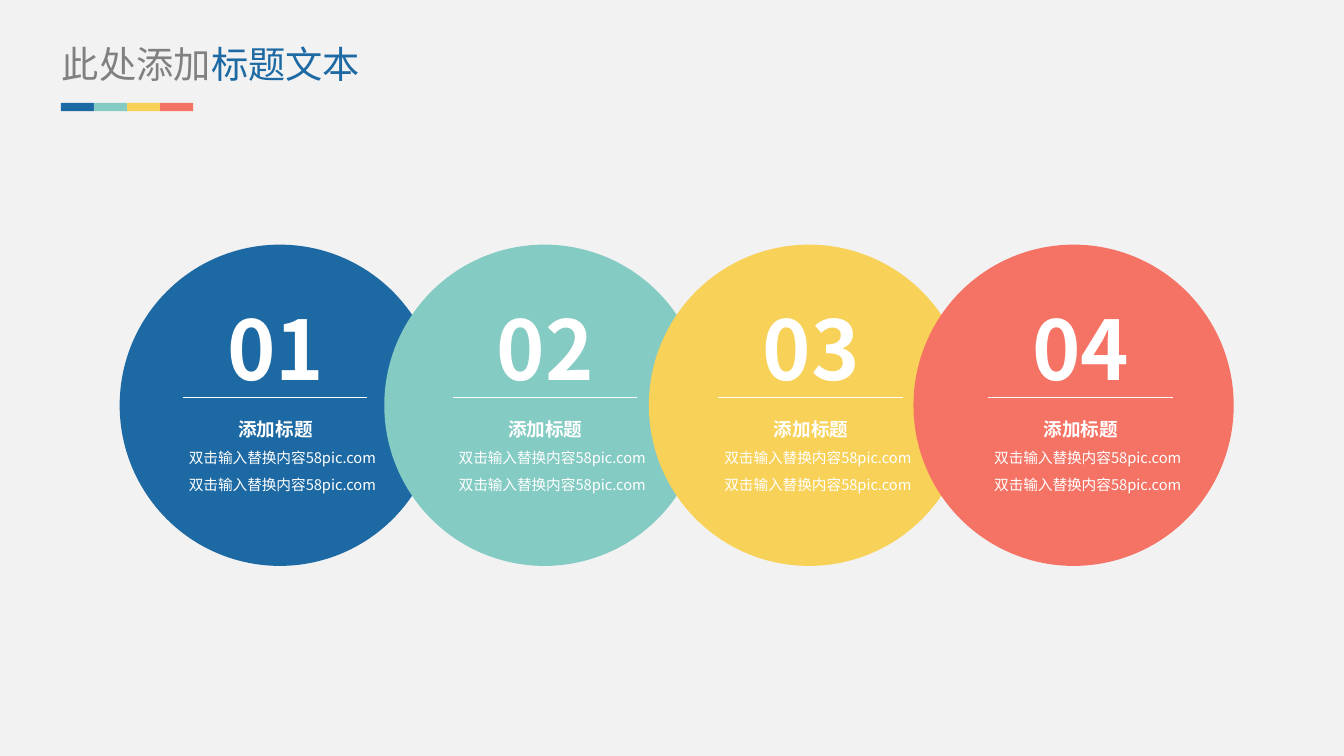
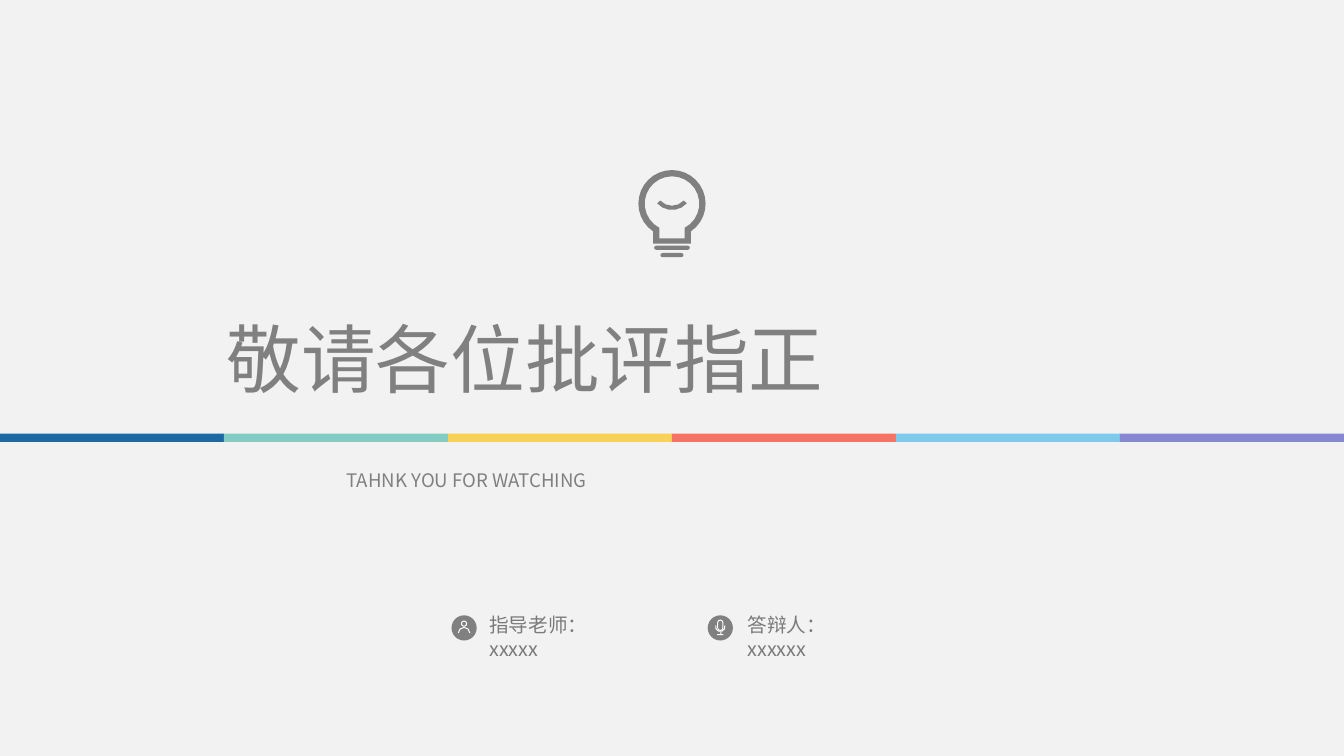
from dataclasses import dataclass
from math import acos, cos, degrees, radians, sin

from lxml.etree import SubElement
from pptx import Presentation
from pptx.dml.color import RGBColor
from pptx.enum.shapes import MSO_CONNECTOR as Connector, MSO_SHAPE as Shape
from pptx.enum.text import MSO_ANCHOR as Anchor, MSO_AUTO_SIZE as AutoSize, PP_ALIGN as Align
from pptx.oxml.ns import qn
from pptx.util import Emu, Pt

Point = tuple[float, float]
Contour = list[Point]


@dataclass(frozen=True)
class Theme:
    font: str = "Noto Sans CJK SC"
    paper: str = "F2F2F2"
    white: str = "FFFFFF"
    gray: str = "808080"
    label_gray: str = "7A7A7A"
    blue: str = "1D69A3"
    palette: tuple[str, ...] = ("1D69A3", "84CBC3", "F8D158", "F57365", "7FC9EC", "8689D0")
    closing_size: float = 53.3
    number_size: float = 58.7
    title_size: float = 26.6
    label_size: float = 14
    heading_size: float = 13.3
    body_size: float = 10.5


@dataclass(frozen=True)
class Span:
    text: str
    color: str


@dataclass(frozen=True)
class Para:
    spans: tuple[Span, ...]
    size: float
    align: Align = Align.LEFT
    spacing: float = 1.0
    bold: bool = False


@dataclass(frozen=True)
class Box:
    left: int
    top: int
    width: int
    height: int


@dataclass(frozen=True)
class Insets:
    left: int = 0
    top: int = 0
    right: int = 0
    bottom: int = 0


@dataclass(frozen=True)
class Step:
    number: str
    color: str
    circle_left: int
    text_left: int


@dataclass(frozen=True)
class Person:
    badge_left: int
    label: Box
    text: str


THEME = Theme()
EMU_PER_PX = 9525
PAGE_WIDTH, PAGE_HEIGHT = 1280, 720
BAND_HEIGHT = 8
FLUSH = Insets()
PADDED = Insets(10, 5, 10, 5)
NARROW = Insets(10, 5, 40, 5)
CIRCLE_LEFT, CIRCLE_STEP = 114, 252
TEXT_LEFTS = (167, 424, 677, 934)
STEPS = [
    Step(f"{index + 1:02}", THEME.palette[index], CIRCLE_LEFT + index * CIRCLE_STEP, left)
    for index, left in enumerate(TEXT_LEFTS)
]
TEACHER = Person(430, Box(456, 579, 161, 33), "指导老师：xxxxx")
SPEAKER = Person(674, Box(702, 579, 153, 33), "答辩人：xxxxxx")


def px(length: float) -> Emu:
    return Emu(round(length * EMU_PER_PX))


def place(box: Box) -> tuple[Emu, Emu, Emu, Emu]:
    return px(box.left), px(box.top), px(box.width), px(box.height)


def paint(shape, color: str) -> None:
    shape.shadow.inherit = False
    shape.fill.solid()
    shape.fill.fore_color.rgb = RGBColor.from_string(color)
    shape.line.fill.background()


def add_filled(page, kind: Shape, box: Box, color: str) -> None:
    paint(page.shapes.add_shape(kind, *place(box)), color)


def add_rule(page, left: int, top: int, width: int) -> None:
    rule = page.shapes.add_connector(Connector.STRAIGHT, px(left), px(top), px(left + width), px(top))
    rule.line.color.rgb = RGBColor.from_string(THEME.white)
    rule.line.width = Pt(0.5)
    SubElement(rule._element.spPr, qn("a:effectLst"))


def add_outline(page, contours: list[Contour], color: str) -> None:
    builder = None
    for contour in contours:
        first, *rest = [(px(x), px(y)) for x, y in contour]
        if builder is None:
            builder = page.shapes.build_freeform(*first, scale=1.0)
        else:
            builder.move_to(*first)
        builder.add_line_segments(rest, close=True)
    paint(builder.convert_to_shape(), color)


def write_text(shape, paras: list[Para], insets: Insets) -> None:
    frame = shape.text_frame
    frame.word_wrap = True
    frame.auto_size = AutoSize.SHAPE_TO_FIT_TEXT
    frame.vertical_anchor = Anchor.TOP
    frame.margin_left, frame.margin_top = px(insets.left), px(insets.top)
    frame.margin_right, frame.margin_bottom = px(insets.right), px(insets.bottom)
    for index, para in enumerate(paras):
        target = frame.add_paragraph() if index else frame.paragraphs[0]
        target.alignment = para.align
        target.line_spacing = para.spacing
        target.font.name = THEME.font
        target.font.size = Pt(para.size)
        target.font.bold = para.bold
        for span in para.spans:
            run = target.add_run()
            run.text = span.text
            run.font.color.rgb = RGBColor.from_string(span.color)
        defaults = target._p.pPr.find(qn("a:defRPr"))
        SubElement(defaults, qn("a:ea"), typeface=THEME.font)


def add_text(page, box: Box, paras: list[Para], insets: Insets) -> None:
    write_text(page.shapes.add_textbox(*place(box)), paras, insets)


def add_band(page, left: int, top: int, width: int, colors: tuple[str, ...]) -> None:
    part = width / len(colors)
    for index, color in enumerate(colors):
        add_filled(page, Shape.RECTANGLE, Box(left + index * part, top, part, BAND_HEIGHT), color)


def add_page(deck):
    page = deck.slides.add_slide(deck.slide_layouts[6])
    page.background.fill.solid()
    page.background.fill.fore_color.rgb = RGBColor.from_string(THEME.paper)
    return page


def add_title(page, lead: str, accent: str) -> None:
    spans = (Span(lead, THEME.gray), Span(accent, THEME.blue))
    add_text(page, Box(59, 39, 389, 43), [Para(spans, THEME.title_size)], FLUSH)
    add_band(page, 58, 98, 126, THEME.palette[:4])


def arc(x: float, y: float, radius: float, start: float, end: float) -> Contour:
    sweep = abs(end - start)
    count = max(round(sweep / 40), round(radius * sweep / 360))
    angles = [radians(start + (end - start) * index / count) for index in range(count + 1)]
    return [(x + radius * cos(angle), y + radius * sin(angle)) for angle in angles]


def crescent(x: float, y: float, outer: float, inner: float, start: float, end: float) -> Contour:
    return arc(x, y, outer, start, end) + arc(x, y, inner, end, start)


def bulb_contour(x: int, y: int, radius: int, half_neck: int, base: int) -> Contour:
    angle = degrees(acos(half_neck / radius))
    glass = arc(x, y, radius, 180 - angle, 360 + angle)
    return glass + [(x + half_neck, base), (x - half_neck, base)]


def capsule(left: int, top: int, right: int, bottom: int, radius: int) -> Contour:
    upper = arc(left + radius, top + radius, radius, 180, 270) + arc(right - radius, top + radius, radius, 270, 360)
    lower = arc(right - radius, bottom - radius, radius, 0, 90) + arc(left + radius, bottom - radius, radius, 90, 180)
    return upper + lower


def draw_bulb(page, x: int, y: int) -> None:
    contours = [
        bulb_contour(x, y, 32, 18, y + 38),
        bulb_contour(x, y, 26, 12, y + 33),
        crescent(x, y - 13, 19, 15, 42, 138),
        capsule(x - 17, y + 40, x + 17, y + 44, 2),
        capsule(x - 11, y + 47, x + 11, y + 51, 2),
    ]
    add_outline(page, contours, THEME.gray)


def draw_person(page, x: int, y: int) -> None:
    head = [arc(x, y - 4, radius, 0, 360) for radius in (3, 2)]
    add_outline(page, head, THEME.white)
    add_outline(page, [crescent(x, y + 5, 6, 5, 180, 360)], THEME.white)


def draw_microphone(page, x: int, y: int) -> None:
    body = [capsule(x - radius, y - 5 - radius, x + radius, y + radius, radius) for radius in (3, 2)]
    add_outline(page, body, THEME.white)
    cradle = crescent(x, y - 1, 5, 4, -15, 195)
    stand = [(1, 4), (1, 6), (3, 6), (3, 7), (-3, 7), (-3, 6), (0, 6), (0, 4)]
    add_outline(page, [cradle, [(x + right, y + down) for right, down in stand]], THEME.white)


def white_para(text: str, size: float, align: Align, spacing: float, bold: bool) -> Para:
    return Para((Span(text, THEME.white),), size, align, spacing, bold)


def draw_step(page, step: Step) -> None:
    heading = white_para("添加标题", THEME.heading_size, Align.CENTER, 1.2, True)
    body = white_para("双击输入替换内容58pic.com", THEME.body_size, Align.RIGHT, 1.5, False)
    number = white_para(step.number, THEME.number_size, Align.CENTER, 1.2, True)
    add_text(page, Box(step.text_left, 394, 191, 77), [heading, body, body], FLUSH)
    add_text(page, Box(step.text_left + 30, 265, 131, 107), [number], FLUSH)
    add_rule(page, step.text_left + 7, 378, 176)


def draw_badge(page, person: Person, draw_icon) -> None:
    add_filled(page, Shape.OVAL, Box(person.badge_left, 586, 24, 24), THEME.gray)
    draw_icon(page, person.badge_left + 12, 598)
    label = Para((Span(person.text, THEME.label_gray),), THEME.label_size)
    add_text(page, person.label, [label], NARROW)


def add_subtitle(page, box: Box, para: Para) -> None:
    plate = page.shapes.add_shape(Shape.ROUNDED_RECTANGLE, *place(box))
    plate.adjustments[0] = 0
    plate.shadow.inherit = False
    plate.fill.background()
    plate.line.fill.background()
    write_text(plate, [para], PADDED)


def gray_para(text: str, size: float) -> Para:
    return Para((Span(text, THEME.gray),), size, Align.JUSTIFY)


def build_steps(deck) -> None:
    page = add_page(deck)
    for step in STEPS:
        add_filled(page, Shape.OVAL, Box(step.circle_left, 233, 305, 306), step.color)
    for step in STEPS:
        draw_step(page, step)
    add_title(page, "此处添加", "标题文本")


def build_closing(deck) -> None:
    page = add_page(deck)
    draw_bulb(page, 640, 194)
    add_text(page, Box(206, 293, 867, 96), [gray_para("敬请各位批评指正", THEME.closing_size)], PADDED)
    add_subtitle(page, Box(320, 442, 640, 32), gray_para("TAHNK YOU FOR WATCHING", THEME.heading_size))
    draw_badge(page, TEACHER, draw_person)
    draw_badge(page, SPEAKER, draw_microphone)
    add_band(page, 0, 413, PAGE_WIDTH, THEME.palette)


def main() -> None:
    deck = Presentation()
    deck.slide_width, deck.slide_height = px(PAGE_WIDTH), px(PAGE_HEIGHT)
    build_steps(deck)
    build_closing(deck)
    deck.save("out.pptx")


if __name__ == "__main__":
    main()
